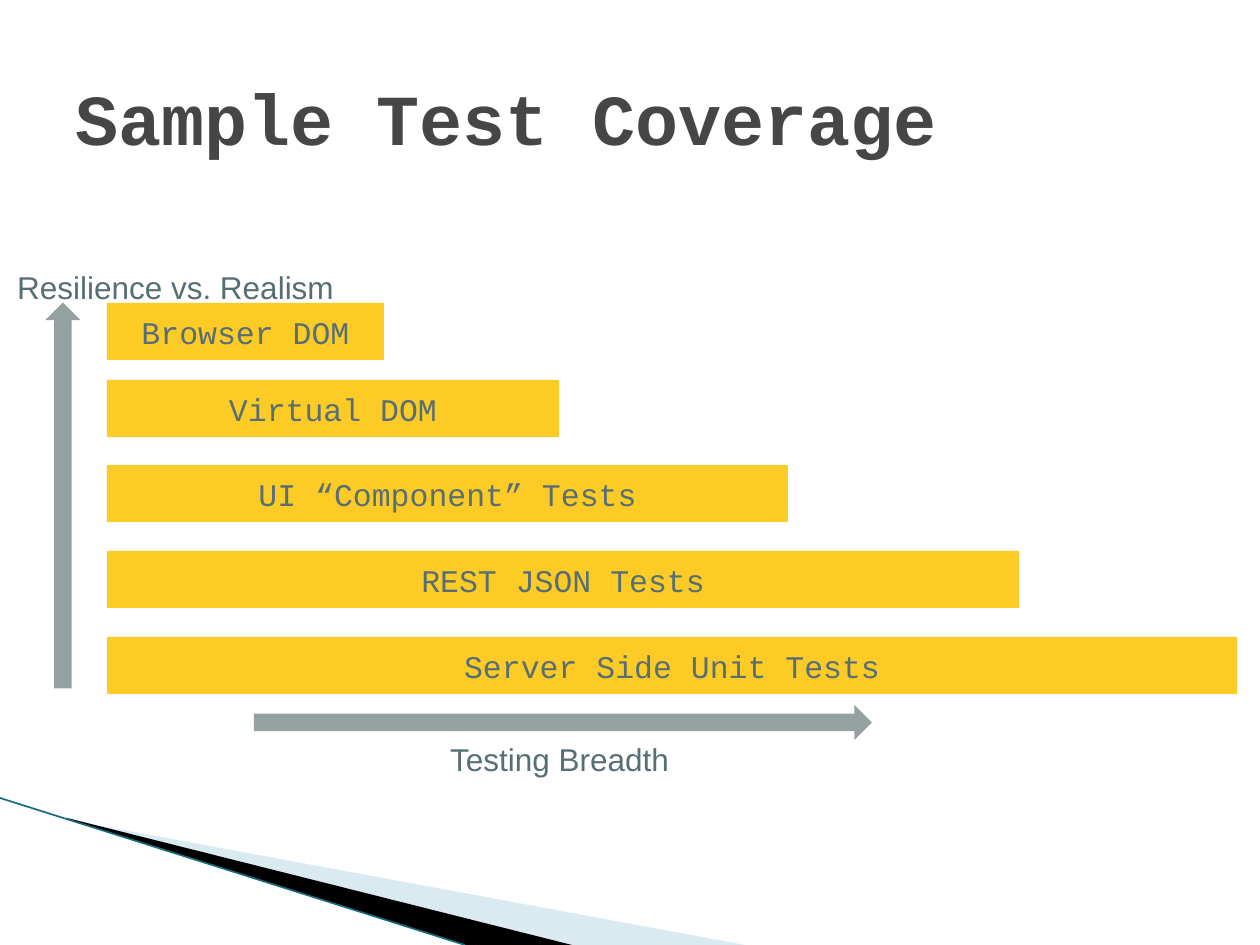
from dataclasses import dataclass

from lxml.etree import SubElement
from pptx import Presentation
from pptx.dml.color import RGBColor
from pptx.enum.shapes import MSO_CONNECTOR, MSO_SHAPE
from pptx.enum.text import MSO_ANCHOR, MSO_AUTO_SIZE, PP_ALIGN
from pptx.oxml.ns import qn
from pptx.util import Emu, Pt

UNIT = 914400 / 126


@dataclass(frozen=True)
class Theme:
    title: str = "464646"
    text: str = "586E75"
    bar: str = "FDCB26"
    arrow: str = "93A1A1"
    pale: str = "A0CBDC"
    dark: str = "000000"
    edge: str = "146C7C"
    mono: str = "Courier New"
    sans: str = "Arial"
    head: float = 41
    body: float = 18
    rule: float = 0.95


@dataclass(frozen=True)
class Box:
    left: int
    top: int
    width: int
    height: int


@dataclass(frozen=True)
class Bar:
    label: str
    top: int
    width: int


@dataclass(frozen=True)
class Arrow:
    box: Box
    turn: int


@dataclass(frozen=True)
class Label:
    text: str
    box: Box


@dataclass(frozen=True)
class Wedge:
    points: tuple
    color: str
    alpha: int


THEME = Theme()
BAR_LEFT, BAR_HIGH = 107, 57
BARS = (
    Bar("Browser DOM", 303, 277),
    Bar("Virtual DOM", 380, 452),
    Bar("UI “Component” Tests", 465, 681),
    Bar("REST JSON Tests", 551, 912),
    Bar("Server Side Unit Tests", 637, 1130),
)
ARROWS = (
    Arrow(Box(254, 705, 618, 35), 0),
    Arrow(Box(-130, 478, 386, 35), 270),
)
LABELS = (
    Label("Testing Breadth", Box(436, 734, 247, 50)),
    Label("Resilience vs. Realism", Box(3, 262, 345, 50)),
)
WEDGES = (
    Wedge(((69, 820), (745, 945), (572, 945), (69, 819)), THEME.pale, 40),
    Wedge(((67, 818), (572, 945), (465, 945), (68, 819)), THEME.dark, 100),
)


def px(size: int) -> Emu:
    return Emu(round(size * UNIT))


def place(box: Box) -> tuple:
    return px(box.left), px(box.top), px(box.width), px(box.height)


def paint(shape, color: str) -> None:
    shape.shadow.inherit = False
    shape.fill.solid()
    shape.fill.fore_color.rgb = RGBColor.from_string(color)
    shape.line.fill.background()


def write(frame, text: str, font: str, size: float, color: str,
          align=PP_ALIGN.CENTER, bold: bool = False) -> None:
    para = frame.paragraphs[0]
    para.alignment = align
    run = para.add_run()
    run.text = text
    run.font.name = font
    run.font.size = Pt(size)
    run.font.bold = bold
    run.font.color.rgb = RGBColor.from_string(color)


def add_wedge(slide, wedge: Wedge) -> None:
    start, *rest = wedge.points
    pen = slide.shapes.build_freeform(*start, scale=UNIT)
    pen.add_line_segments(rest, close=True)
    shape = pen.convert_to_shape()
    paint(shape, wedge.color)
    if wedge.alpha < 100:
        tint = shape.fill._xPr.find(qn("a:solidFill"))[0]
        SubElement(tint, qn("a:alpha"), val=str(wedge.alpha * 1000))


def add_edge(slide) -> None:
    line = slide.shapes.add_connector(
        MSO_CONNECTOR.STRAIGHT, px(0), px(798), px(465), px(945))
    line.line.color.rgb = RGBColor.from_string(THEME.edge)
    line.line.width = Pt(THEME.rule)
    SubElement(line._element.spPr, qn("a:effectLst"))


def add_title(slide) -> None:
    title = slide.shapes.title
    title.left, title.top, title.width, title.height = place(
        Box(63, 38, 1134, 157))
    title.text_frame.vertical_anchor = MSO_ANCHOR.MIDDLE
    write(title.text_frame, "Sample Test Coverage", THEME.mono, THEME.head,
          THEME.title, PP_ALIGN.LEFT, True)


def add_bar(slide, bar: Bar) -> None:
    box = Box(BAR_LEFT, bar.top, bar.width, BAR_HIGH)
    shape = slide.shapes.add_shape(MSO_SHAPE.RECTANGLE, *place(box))
    paint(shape, THEME.bar)
    shape.text_frame.vertical_anchor = MSO_ANCHOR.MIDDLE
    write(shape.text_frame, bar.label, THEME.mono, THEME.body, THEME.text)


def add_arrow(slide, arrow: Arrow) -> None:
    shape = slide.shapes.add_shape(MSO_SHAPE.RIGHT_ARROW, *place(arrow.box))
    shape.rotation = arrow.turn
    paint(shape, THEME.arrow)


def add_label(slide, label: Label) -> None:
    frame = slide.shapes.add_textbox(*place(label.box)).text_frame
    frame.word_wrap = False
    frame.auto_size = MSO_AUTO_SIZE.SHAPE_TO_FIT_TEXT
    write(frame, label.text, THEME.sans, THEME.body, THEME.text)


def main() -> None:
    deck = Presentation()
    deck.slide_width, deck.slide_height = px(1260), px(945)
    slide = deck.slides.add_slide(deck.slide_layouts[5])
    for wedge in WEDGES:
        add_wedge(slide, wedge)
    add_edge(slide)
    add_title(slide)
    for bar in BARS:
        add_bar(slide, bar)
    for arrow in ARROWS:
        add_arrow(slide, arrow)
    for label in LABELS:
        add_label(slide, label)
    deck.save("out.pptx")


main()
